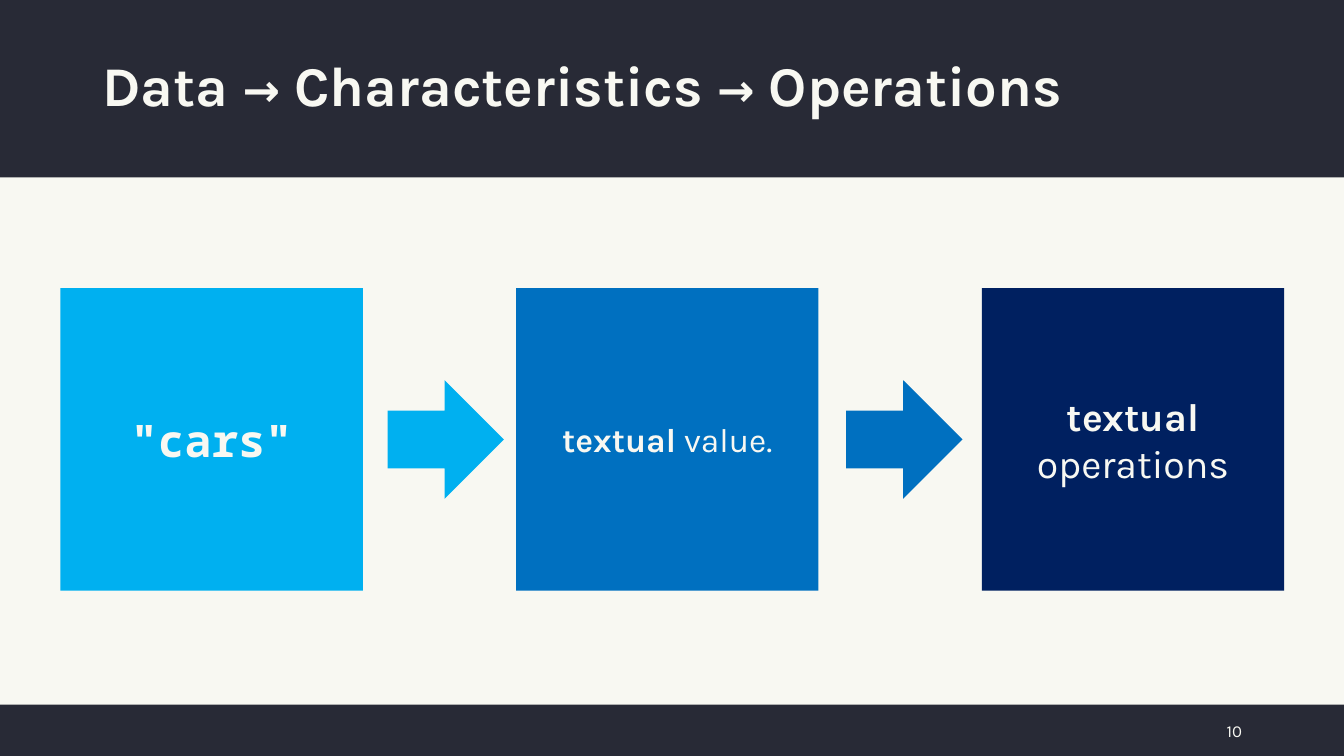
from lxml.etree import SubElement
from pptx import Presentation
from pptx.dml.color import RGBColor
from pptx.enum.shapes import MSO_SHAPE as Shape
from pptx.enum.text import MSO_ANCHOR as Anchor, PP_ALIGN as Align
from pptx.oxml.ns import qn
from pptx.util import Inches, Pt

UNIT = Inches(0.1)
WIDE, HIGH = 133.33, 75
DARK, PALE = "282A36", "F8F8F2"
SKY, BLUE, NAVY = "00B0F0", "0070C0", "002060"
SANS, MONO = "Karla", "Noto Sans Mono"
SIDE = 30
MID = 43.6


def paint(fill, tone):
    fill.solid()
    fill.fore_color.rgb = RGBColor.from_string(tone)


def grid(*cells):
    return [round(cell * UNIT) for cell in cells]


def write(shape, runs, align=Align.CENTER, font=SANS, lead=None):
    frame = shape.text_frame
    frame.word_wrap = True
    frame.vertical_anchor = Anchor.MIDDLE
    line = frame.paragraphs[0]
    line.alignment = align
    line.line_spacing = lead
    for text, size, bold in runs:
        run = line.add_run()
        run.text = text
        run.font.name = font
        run.font.size = Pt(size)
        run.font.bold = bold
        paint(run.font.fill, PALE)


def block(slide, kind, cells, tone):
    shape = slide.shapes.add_shape(kind, *grid(*cells))
    shape.shadow.inherit = False
    paint(shape.fill, tone)
    shape.line.fill.background()
    return shape


def card(slide, left, tone, runs, font=SANS):
    cells = left, MID - SIDE / 2, SIDE, SIDE
    write(block(slide, Shape.RECTANGLE, cells, tone), runs, font=font)


def arrow(slide, left, tone):
    high = 10.1
    cells = left, MID - high / 2, 10.7, high
    shape = block(slide, Shape.RIGHT_ARROW, cells, tone)
    paint(shape.line.fill, tone)
    shape.line.width = Pt(5)
    edge = shape.line._get_or_add_ln()
    SubElement(edge, qn("a:miter"), lim="800000")


def label(slide, cells, runs, **style):
    write(slide.shapes.add_textbox(*grid(*cells)), runs, **style)


def main():
    deck = Presentation()
    deck.slide_width, deck.slide_height = grid(WIDE, HIGH)
    slide = deck.slides.add_slide(deck.slide_layouts[6])
    paint(slide.background.fill, PALE)

    for top, high in ((0, 17.6), (69.9, 5.1)):
        block(slide, Shape.RECTANGLE, (0, top, WIDE, high), DARK)

    card(slide, 6, SKY, [('"cars"', 32, True)], font=MONO)
    card(slide, 51.2, BLUE, [("textual", 24, True), (" value.", 24, False)])
    card(slide, 97.4, NAVY, [("textual ", 28, True), ("operations", 28, False)])
    arrow(slide, 38.8, SKY)
    arrow(slide, 84.3, BLUE)

    title = [("Data ", 40, True), ("→", 32, True),
             (" Characteristics ", 40, True), ("→", 32, True),
             (" Operations", 40, True)]
    label(slide, (9.2, 1.5, 115, 14.5), title, align=Align.LEFT, lead=0.9)
    label(slide, (116.8, 70.5, 7.4, 4), [("10", 12, False)], align=Align.RIGHT)
    deck.save("out.pptx")


if __name__ == "__main__":
    main()
